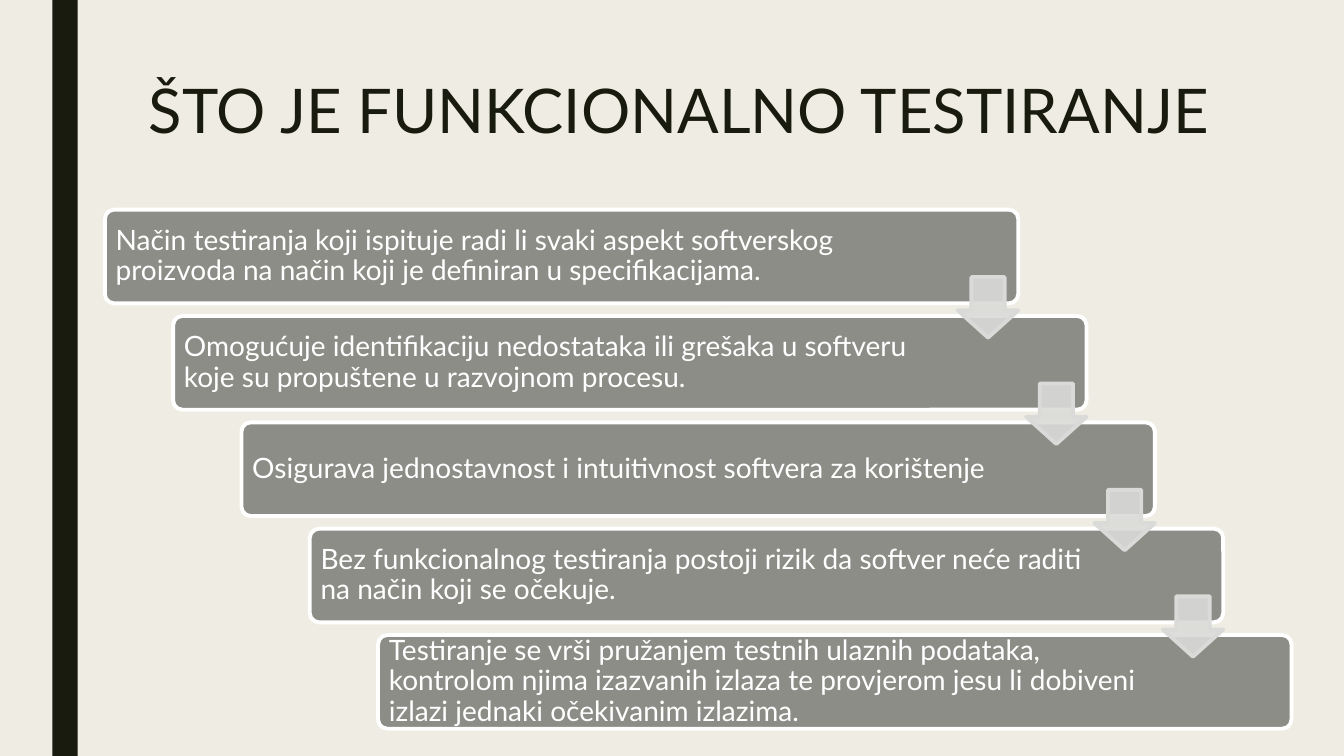
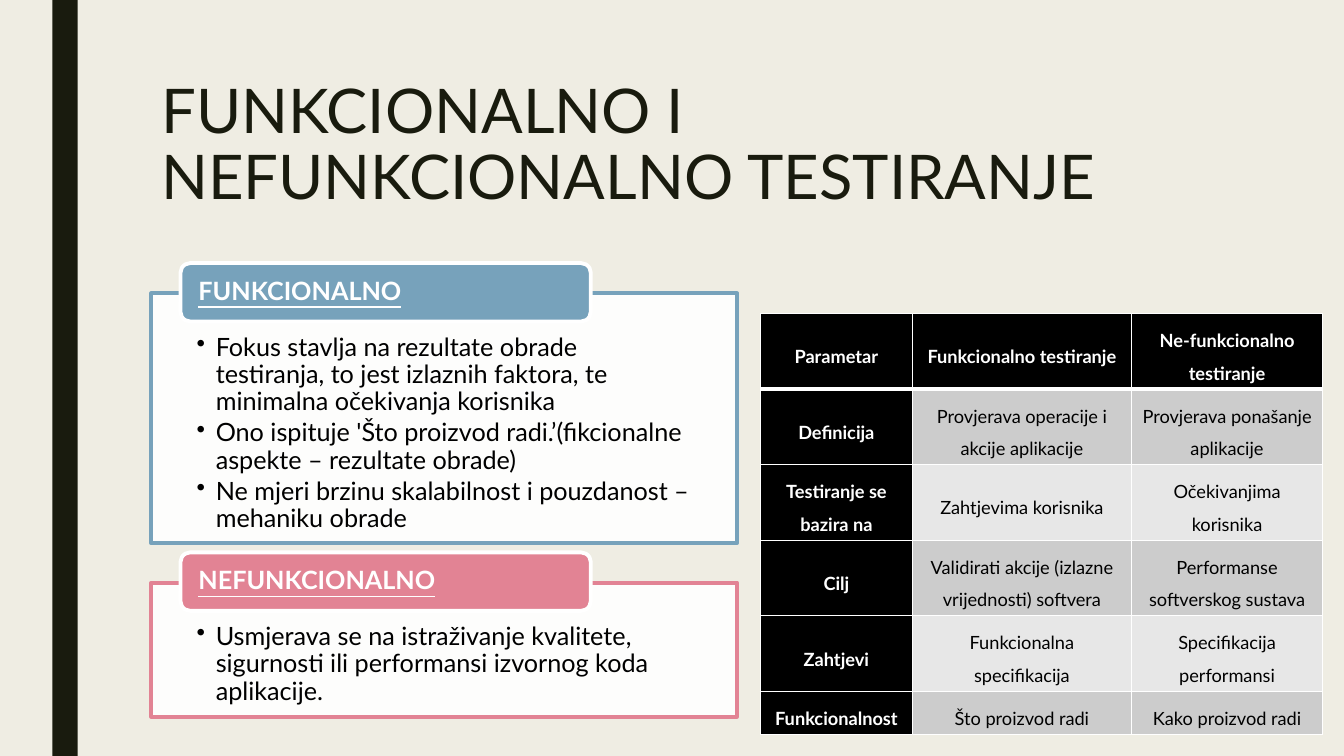
from dataclasses import dataclass

import pptx
import pptx.dml.color
import pptx.enum.shapes
import pptx.enum.text
import pptx.oxml
import pptx.oxml.ns
import pptx.util
from lxml import etree

Inches = pptx.util.Inches
Pt = pptx.util.Pt
Color = pptx.dml.color.RGBColor.from_string
Shape = pptx.enum.shapes.MSO_SHAPE
Anchor = pptx.enum.text.MSO_ANCHOR
Align = pptx.enum.text.PP_ALIGN
qn = pptx.oxml.ns.qn


@dataclass(frozen=True)
class Theme:
    font: str = "Lato"
    paper: str = "EFEDE3"
    ink: str = "191B0E"
    white: str = "FFFFFF"
    black: str = "000000"
    card: str = "8C8D86"
    arrow: str = "DADBD9"
    blue: str = "77A2BB"
    pink: str = "E28394"
    rows: tuple = ("E7E7E7", "CCCCCC")
    title_size: int = 44
    card_size: int = 20
    panel_size: int = 18
    table_size: int = 13
    outline: float = 2.75


theme = Theme()


def add_box(page, kind, left, top, width, height, fill, line, opacity=100):
    box = page.shapes.add_shape(kind, Inches(left), Inches(top), Inches(width), Inches(height))
    box.shadow.inherit = False
    box.fill.solid()
    box.fill.fore_color.rgb = Color(fill)
    if opacity < 100:
        for color in box.element.iter(qn("a:srgbClr")):
            etree.SubElement(color, qn("a:alpha"), val=str(opacity * 1000))
    box.line.color.rgb = Color(line)
    box.line.width = Pt(theme.outline)
    return box


def write(frame, texts, size, color, margins, spacing, bold=False, align=Align.LEFT):
    frame.word_wrap = True
    frame.margin_left, frame.margin_top, frame.margin_right, frame.margin_bottom = map(Inches, margins)
    frame.text = "\n".join(texts)
    for para in frame.paragraphs:
        para.alignment = align
        para.line_spacing = spacing
        para.font.name = theme.font
        para.font.size = Pt(size)
        para.font.bold = bold
        para.font.color.rgb = Color(color)


deck = pptx.Presentation()
deck.slide_width = Inches(13.33)
deck.slide_height = Inches(7.5)
deck.slide_master.background.fill.solid()
deck.slide_master.background.fill.fore_color.rgb = Color(theme.paper)
layout = deck.slide_layouts[5]

titles = [
    ("ŠTO JE FUNKCIONALNO TESTIRANJE", (1.04, 0.75, 11.4, 0.83), Align.CENTER),
    ("FUNKCIONALNO I NEFUNKCIONALNO TESTIRANJE", (1.5, 0.75, 10.5, 1.62), Align.LEFT),
]
pages = []
for text, place, align in titles:
    page = deck.slides.add_slide(layout)
    title = page.shapes.title
    title.left, title.top, title.width, title.height = map(Inches, place)
    title.text_frame.vertical_anchor = Anchor.TOP
    title.text_frame.auto_size = pptx.enum.text.MSO_AUTO_SIZE.NONE
    write(title.text_frame, [text], theme.title_size, theme.ink, (0.1, 0.05, 0.1, 0.05), 0.89, align=align)
    pages.append(page)
steps_page, compare_page = pages

band = add_box(steps_page, Shape.RECTANGLE, 0.52, 0, 0.25, 7.5, theme.ink, theme.ink)
band.line.fill.background()
layout.shapes.element.append(band.element)

steps = [
    "Način testiranja koji ispituje radi li svaki aspekt softverskog proizvoda na način koji je definiran u specifikacijama.",
    "Omogućuje identifikaciju nedostataka ili grešaka u softveru koje su propuštene u razvojnom procesu.",
    "Osigurava jednostavnost i intuitivnost softvera za korištenje",
    "Bez funkcionalnog testiranja postoji rizik da softver neće raditi na način koji se očekuje.",
    "Testiranje se vrši pružanjem testnih ulaznih podataka, kontrolom njima izazvanih izlaza te provjerom jesu li dobiveni izlazi jednaki očekivanim izlazima.",
]
gaps = len(steps) - 1
corners = [(1.04 + 2.71 * i / gaps, 2.08 + 4.22 * i / gaps) for i in range(len(steps))]
for text, (left, top) in zip(steps, corners):
    card = add_box(steps_page, Shape.ROUNDED_RECTANGLE, left, top, 9.06, 0.93, theme.card, theme.white)
    card.adjustments[0] = 0.1
    card.text_frame.vertical_anchor = Anchor.MIDDLE
    write(card.text_frame, [text], theme.card_size, theme.white, (0.08, 0.08, 1.36, 0.08), 0.9)
for left, top in corners[:-1]:
    arrow = add_box(steps_page, Shape.DOWN_ARROW, left + 8.46, top + 0.67, 0.6, 0.6,
                    theme.arrow, theme.arrow, opacity=90)
    arrow.adjustments[0] = 0.45
    arrow.adjustments[0], arrow.adjustments[1] = 0.55, 0.45

panels = [
    ("FUNKCIONALNO", theme.blue, 2.91, 2.48, [
        "Fokus stavlja na rezultate obrade testiranja, to jest izlaznih faktora, te minimalna očekivanja korisnika",
        "Ono ispituje 'Što proizvod radi.’(fikcionalne aspekte – rezultate obrade)",
        "Ne mjeri brzinu skalabilnost i pouzdanost – mehaniku obrade",
    ]),
    ("NEFUNKCIONALNO", theme.pink, 5.78, 1.33, [
        "Usmjerava se na istraživanje kvalitete, sigurnosti ili performansi izvornog koda aplikacije.",
    ]),
]
for heading, color, top, height, points in panels:
    panel = add_box(compare_page, Shape.RECTANGLE, 1.5, top, 5.81, height, theme.white, color, opacity=90)
    panel.text_frame.vertical_anchor = Anchor.TOP
    write(panel.text_frame, points, theme.panel_size, theme.black, (0.45, 0.41, 0.45, 0.14), 0.9)
    for para in panel.text_frame.paragraphs:
        para.space_after = Pt(2.7)
        properties = para._p.get_or_add_pPr()
        properties.set("marL", str(Inches(0.19)))
        properties.set("indent", str(-Inches(0.19)))
        etree.SubElement(properties, qn("a:buChar"), char="•")
        properties.append(properties.find(qn("a:defRPr")))
    tab = add_box(compare_page, Shape.ROUNDED_RECTANGLE, 1.79, top - 0.3, 4.07, 0.58, color, theme.white)
    tab.text_frame.vertical_anchor = Anchor.MIDDLE
    write(tab.text_frame, [heading], theme.panel_size, theme.white, (0.15, 0, 0.15, 0), 0.9, bold=True)
    tab.text_frame.paragraphs[0].font.underline = True

comparison = [
    ("Parametar", "Funkcionalno testiranje", "Ne-funkcionalno testiranje"),
    ("Definicija", "Provjerava operacije i akcije aplikacije", "Provjerava ponašanje aplikacije"),
    ("Testiranje se bazira na", "Zahtjevima korisnika", "Očekivanjima korisnika"),
    ("Cilj", "Validirati akcije (izlazne vrijednosti) softvera", "Performanse softverskog sustava"),
    ("Zahtjevi", "Funkcionalna specifikacija", "Specifikacija performansi"),
    ("Funkcionalnost", "Što proizvod radi", "Kako proizvod radi"),
]
column_widths = [1.51, 2.17, 1.9]
row_heights = [0.66] * 5 + [0.33]
table = compare_page.shapes.add_table(
    len(comparison), len(column_widths), Inches(7.54), Inches(3.11),
    Inches(sum(column_widths)), Inches(sum(row_heights))).table
for column, width in zip(table.columns, column_widths):
    column.width = Inches(width)
for r, (row, height) in enumerate(zip(comparison, row_heights)):
    table.rows[r].height = Inches(height)
    for c, text in enumerate(row):
        cell = table.cell(r, c)
        heading = r == 0 or c == 0
        write(cell.text_frame, [text], theme.table_size, theme.white if heading else theme.black,
              (0.08, 0, 0.08, 0), 1.5, bold=heading, align=Align.CENTER)
        cell.vertical_anchor = Anchor.MIDDLE
        for side in ("lnL", "lnR", "lnT", "lnB"):
            thick = (r, side) in ((0, "lnB"), (1, "lnT"))
            border = etree.SubElement(cell._tc.get_or_add_tcPr(), qn("a:" + side), w=str(Pt(3 if thick else 1)))
            paint = etree.SubElement(border, qn("a:solidFill"))
            etree.SubElement(paint, qn("a:srgbClr"), val=theme.white)
        cell.fill.solid()
        cell.fill.fore_color.rgb = Color(theme.black if heading else theme.rows[r % 2])

deck.save("out.pptx")
